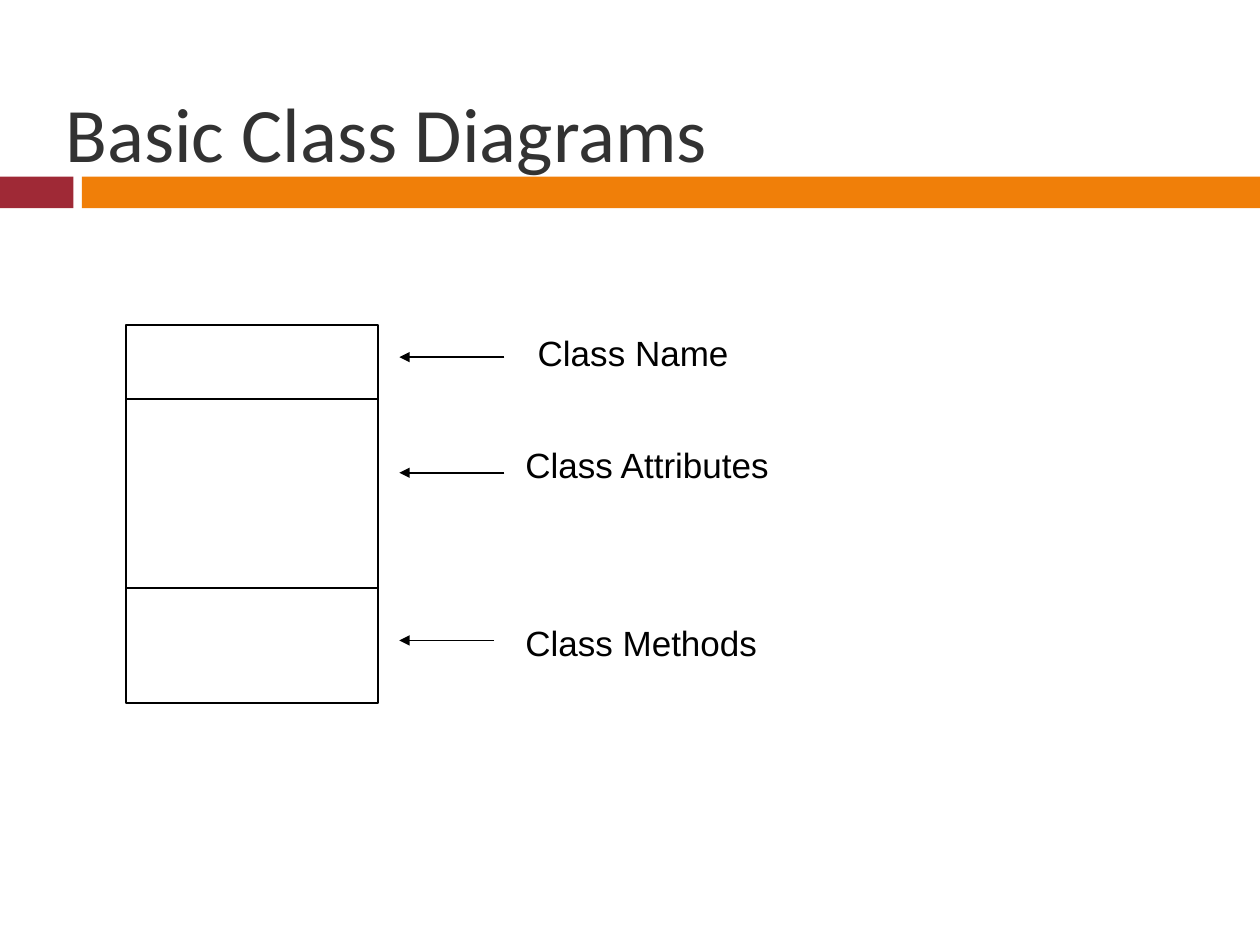
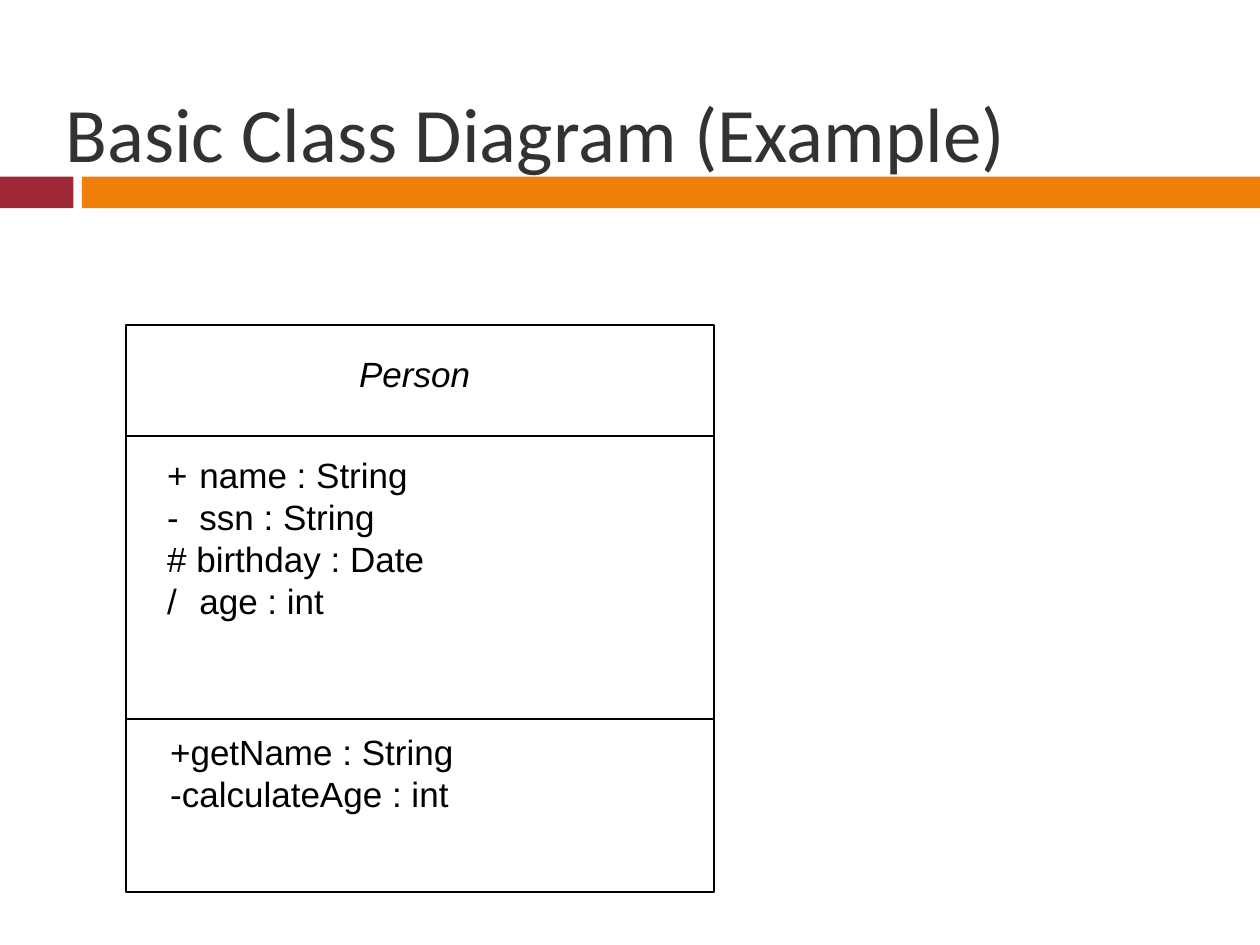
import pptx
import pptx.dml.color
import pptx.enum.shapes
import pptx.enum.text
import pptx.oxml.ns
import pptx.util
from collections import namedtuple
from lxml import etree

Cm = pptx.util.Cm
Pt = pptx.util.Pt
RGBColor = pptx.dml.color.RGBColor
qn = pptx.oxml.ns.qn
RECTANGLE = pptx.enum.shapes.MSO_SHAPE.RECTANGLE
STRAIGHT = pptx.enum.shapes.MSO_CONNECTOR.STRAIGHT
ANCHOR = pptx.enum.text.MSO_ANCHOR

RED = RGBColor(0x9F, 0x29, 0x36)
ORANGE = RGBColor(0xF0, 0x7F, 0x09)
DARK_GRAY = RGBColor(0x32, 0x32, 0x32)
BLACK = RGBColor(0, 0, 0)

TITLE_FONT = {"name": "Calibri", "size": Pt(44)}
BODY_FONT = {"name": "Arial", "size": Pt(20)}
CLASS_NAME_FONT = {**BODY_FONT, "italic": True}

Box = namedtuple("Box", "left top width height")
SLIDE_BOX = Box(Cm(0), Cm(0), Cm(25.4), Cm(19.05))
TITLE_BOX = Box(Cm(1.07), Cm(1.07), Cm(24.33), Cm(3.18))
BAND_TOP, BAND_HEIGHT = Cm(3.56), Cm(0.64)
RED_BAND_WIDTH, ORANGE_BAND_LEFT = Cm(1.48), Cm(1.65)
DIVIDER_SHARES = (7 / 36, 25 / 36)
MEMBER_TAB = Cm(0.65)


def add_rectangle(slide, box, fill=None, line=None):
    shape = slide.shapes.add_shape(RECTANGLE, *box)
    shape.shadow.inherit = False
    if fill is None:
        shape.fill.background()
    else:
        shape.fill.solid()
        shape.fill.fore_color.rgb = fill
    if line is None:
        shape.line.fill.background()
    else:
        shape.line.color.rgb = line
        shape.line.width = Pt(1)


def add_line(slide, start, end, arrow=False):
    connector = slide.shapes.add_connector(STRAIGHT, *start, *end)
    connector.line.color.rgb = BLACK
    connector.line.width = Pt(1)
    if arrow:
        line_element = connector.line._get_or_add_ln()
        etree.SubElement(line_element, qn("a:tailEnd"), type="triangle")
    etree.SubElement(connector._element.spPr, qn("a:effectLst"))


def add_tab_stop(paragraph, position):
    tabs = etree.SubElement(paragraph._p.get_or_add_pPr(), qn("a:tabLst"))
    etree.SubElement(tabs, qn("a:tab"), pos=str(int(position)), algn="l")


def add_text(slide, box, lines, font=BODY_FONT, color=BLACK,
             anchor=ANCHOR.TOP, spacing=Pt(24)):
    frame = slide.shapes.add_textbox(*box).text_frame
    frame.word_wrap = True
    frame.vertical_anchor = anchor
    for index, line in enumerate(lines):
        paragraph = frame.add_paragraph() if index else frame.paragraphs[0]
        paragraph.text = line
        paragraph.line_spacing = spacing
        if "\t" in line:
            add_tab_stop(paragraph, MEMBER_TAB)
        for run in paragraph.runs:
            for attribute, value in font.items():
                setattr(run.font, attribute, value)
            run.font.color.rgb = color


def add_titled_slide(presentation, title):
    slide = presentation.slides.add_slide(presentation.slide_layouts[6])
    bands = (
        (Cm(0), RED_BAND_WIDTH, RED),
        (ORANGE_BAND_LEFT, SLIDE_BOX.width - ORANGE_BAND_LEFT, ORANGE),
    )
    for left, width, color in bands:
        add_rectangle(slide, Box(left, BAND_TOP, width, BAND_HEIGHT), fill=color)
    add_text(slide, TITLE_BOX, [title], TITLE_FONT, DARK_GRAY,
             ANCHOR.MIDDLE, 1.0)
    return slide


def add_class_frame(slide, box):
    add_rectangle(slide, box, line=BLACK)
    for share in DIVIDER_SHARES:
        top = box.top + int(box.height * share)
        add_line(slide, (box.left, top), (box.left + box.width, top))


def add_compartment_labels(slide, box):
    right = box.left + box.width
    labels = (
        ("Class Name", Cm(2.97), Cm(0), Cm(0.64), Cm(2.12)),
        ("Class Attributes", Cm(2.72), Cm(2.26), Cm(2.97), Cm(2.12)),
        ("Class Methods", Cm(2.72), Cm(5.84), Cm(6.35), Cm(1.91)),
    )
    for text, text_left, text_top, arrow_top, arrow_length in labels:
        add_text(slide, Box(right + text_left, box.top + text_top,
                            Cm(7), Cm(1.27)), [text])
        arrow_tip = right + Cm(0.43)
        add_line(slide, (arrow_tip + arrow_length, box.top + arrow_top),
                 (arrow_tip, box.top + arrow_top), arrow=True)


def add_class_members(slide, box):
    compartments = (
        (Cm(4.45), Cm(0.43), Cm(3.12), Cm(1.27), ["Person"], CLASS_NAME_FONT),
        (Cm(0.58), Cm(2.46), Cm(7.54), Cm(4.32),
         ["+\tname : String", "-\tssn : String",
          "# birthday : Date", "/\tage : int"], BODY_FONT),
        (Cm(0.64), Cm(8.05), Cm(7.72), Cm(2.29),
         ["+getName : String", "-calculateAge : int"], BODY_FONT),
    )
    for left, top, width, height, lines, font in compartments:
        add_text(slide, Box(box.left + left, box.top + top, width, height),
                 lines, font)


def build_diagram_slide(presentation, title, box, add_details):
    slide = add_titled_slide(presentation, title)
    add_class_frame(slide, box)
    add_details(slide, box)


def main():
    presentation = pptx.Presentation()
    presentation.slide_width = SLIDE_BOX.width
    presentation.slide_height = SLIDE_BOX.height
    build_diagram_slide(presentation, "Basic Class Diagrams",
                        Box(Cm(2.54), Cm(6.56), Cm(5.08), Cm(7.62)),
                        add_compartment_labels)
    build_diagram_slide(presentation, "Basic Class Diagram (Example)",
                        Box(Cm(2.54), Cm(6.56), Cm(11.85), Cm(11.43)),
                        add_class_members)
    presentation.save("out.pptx")


if __name__ == "__main__":
    main()
